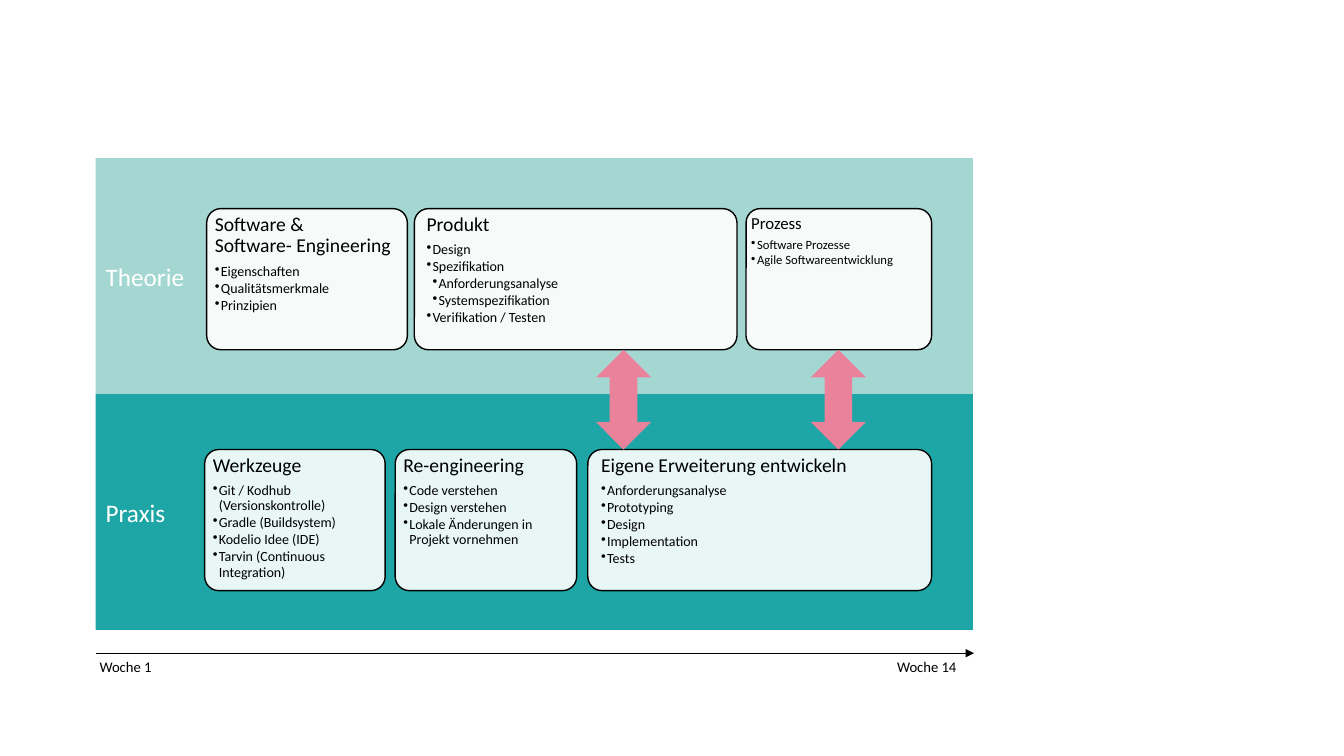
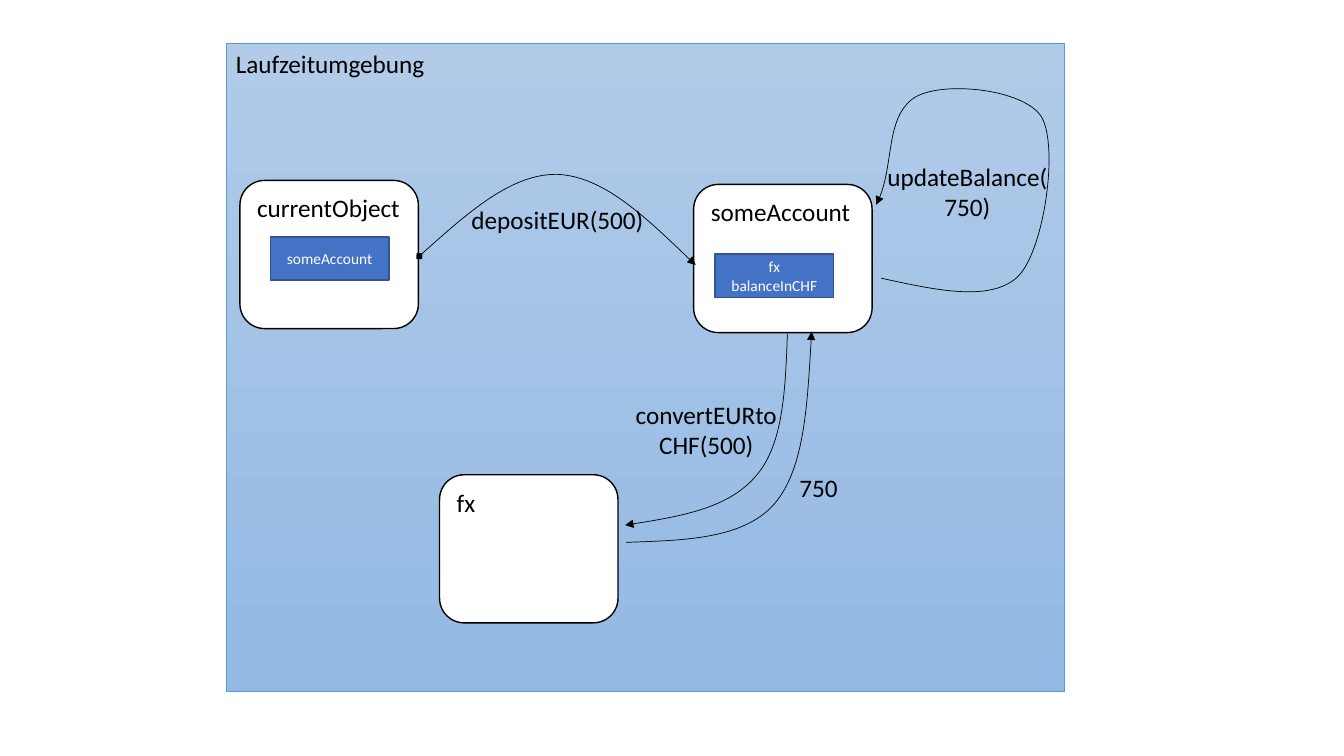
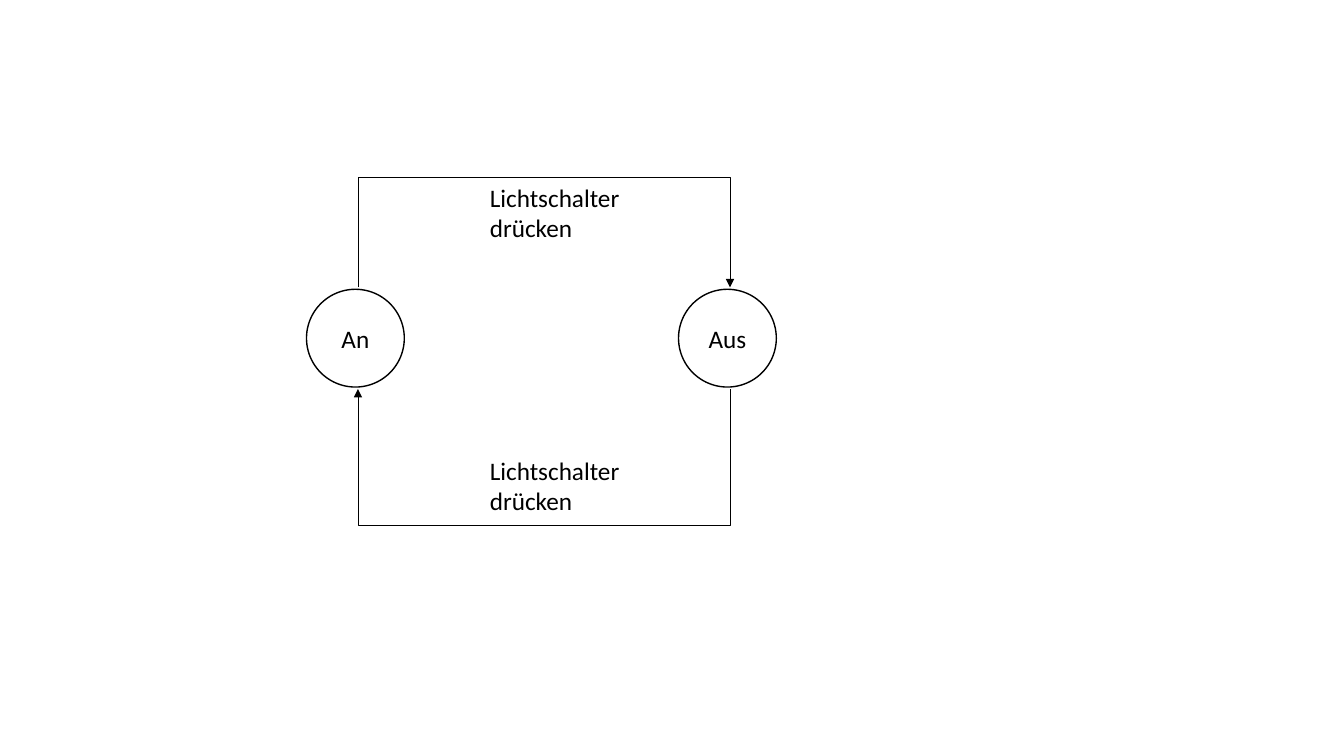
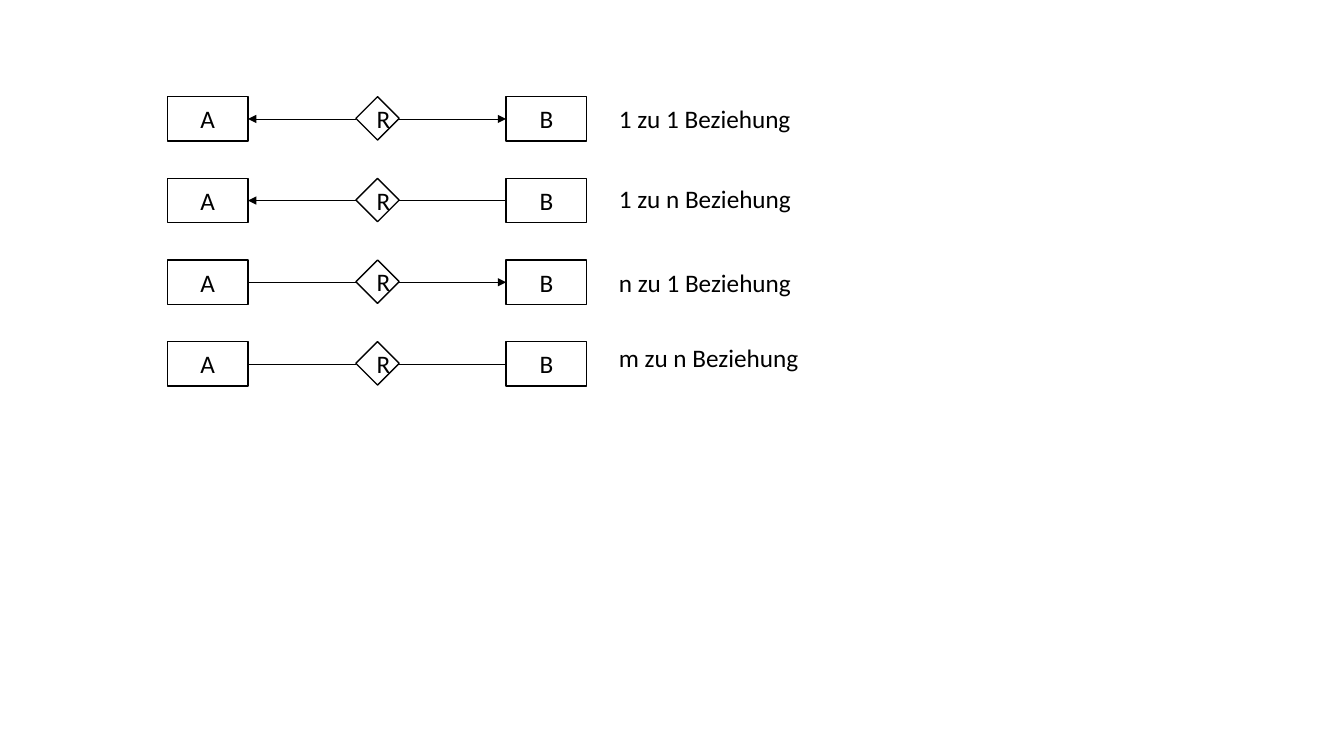
import lxml.etree
import pptx
import pptx.dml.color
import pptx.enum.shapes
import pptx.enum.text
import pptx.oxml.ns
import pptx.util

Inches = pptx.util.Inches
Pt = pptx.util.Pt
SHAPES = pptx.enum.shapes.MSO_SHAPE
ALIGN = pptx.enum.text.PP_ALIGN
ANCHOR = pptx.enum.text.MSO_ANCHOR

COLORS = {
    "black": "000000",
    "white": "FFFFFF",
    "light_teal": "A5D7D2",
    "teal": "1EA5A5",
    "pink": "EB829B",
    "sky_top": "B1CBE9",
    "sky_bottom": "93B9E4",
    "sky_edge": "5B9BD5",
    "blue": "4472C4",
    "dark_blue": "325491",
}


def color(name):
    return pptx.dml.color.RGBColor.from_string(COLORS[name])


def add_element(parent, tag, **attributes):
    return lxml.etree.SubElement(parent, pptx.oxml.ns.qn(tag), attributes)


class Deck:
    font = "Calibri"
    text_size = 18
    outline = 1
    thin = 0.5

    def __init__(self):
        self.presentation = pptx.Presentation()
        self.presentation.slide_width = Inches(13.33)
        self.presentation.slide_height = Inches(7.5)
        self.slide = None

    def new_slide(self):
        self.slide = self.presentation.slides.add_slide(self.presentation.slide_layouts[6])

    def add_run(self, paragraph, text, size, ink="black"):
        run = paragraph.add_run()
        run.text = text
        run.font.name = self.font
        run.font.size = Pt(size)
        run.font.color.rgb = color(ink)

    def add_text(self, shape, lines, size=text_size, ink="black", align=ALIGN.CENTER, anchor=ANCHOR.MIDDLE):
        frame = shape.text_frame
        frame.word_wrap = True
        frame.vertical_anchor = anchor
        for index, line in enumerate(lines):
            paragraph = frame.add_paragraph() if index else frame.paragraphs[0]
            paragraph.alignment = align
            self.add_run(paragraph, line, size, ink)

    def label(self, left, top, width, height, text, size=text_size):
        box = self.slide.shapes.add_textbox(Inches(left), Inches(top), Inches(width), Inches(height))
        self.add_text(box, [text], size, align=ALIGN.LEFT, anchor=ANCHOR.TOP)

    def shape(self, kind, left, top, width, height, fill="white", line="black", weight=outline):
        shape = self.slide.shapes.add_shape(kind, Inches(left), Inches(top), Inches(width), Inches(height))
        shape.shadow.inherit = False
        shape.fill.solid()
        shape.fill.fore_color.rgb = color(fill)
        if line:
            shape.line.color.rgb = color(line)
            shape.line.width = Pt(weight)
        else:
            shape.line.fill.background()
        return shape

    def card(self, left, top, width, indent, heading, bullets, heading_size=14, bullet_size=10):
        card = self.shape(SHAPES.ROUNDED_RECTANGLE, left, top, width, 1.4)
        card.adjustments[0] = 0.1
        fill_color = card.element.spPr.find(".//" + pptx.oxml.ns.qn("a:srgbClr"))
        add_element(fill_color, "a:alpha", val="90000")
        frame = card.text_frame
        frame.word_wrap = True
        frame.vertical_anchor = ANCHOR.TOP
        frame.margin_left = Inches(indent)
        frame.margin_right = Inches(0.03)
        frame.margin_top = frame.margin_bottom = Inches(0.02)
        paragraph = frame.paragraphs[0]
        paragraph.alignment = ALIGN.LEFT
        paragraph.line_spacing = 0.9
        paragraph.space_after = Pt(heading_size * 0.35)
        for index, part in enumerate(heading):
            if index:
                paragraph.add_line_break()
            self.add_run(paragraph, part, heading_size)
        for level, text in bullets:
            self.bullet(frame.add_paragraph(), level, text, bullet_size)

    def bullet(self, paragraph, level, text, size):
        paragraph.level = level
        paragraph.alignment = ALIGN.LEFT
        paragraph.line_spacing = 0.9
        paragraph.space_after = Pt(size * 0.13)
        properties = paragraph._p.get_or_add_pPr()
        step = Inches(0.06)
        properties.set("marL", str(level * step))
        properties.set("indent", str(-step))
        add_element(properties, "a:buChar", char="•")
        self.add_run(paragraph, text, size)

    def finish_line(self, shape, head, tail):
        shape.line.color.rgb = color("black")
        shape.line.width = Pt(self.thin)
        outline = shape.line._get_or_add_ln()
        for tag, arrow in (("a:headEnd", head), ("a:tailEnd", tail)):
            if arrow:
                add_element(outline, tag, type=arrow)

    def line(self, start, end, head=None, tail=None):
        connector = self.slide.shapes.add_connector(
            pptx.enum.shapes.MSO_CONNECTOR.STRAIGHT, *(Inches(value) for value in start + end))
        self.finish_line(connector, head, tail)
        add_element(connector.element.spPr, "a:effectLst")

    def route(self, points, head=None, tail=None, curved=False):
        vertices = [(Inches(x), Inches(y)) for x, y in points]
        builder = self.slide.shapes.build_freeform(*vertices[0], scale=1.0)
        builder.add_line_segments(vertices[1:], close=False)
        shape = builder.convert_to_shape()
        shape.shadow.inherit = False
        shape.fill.background()
        self.finish_line(shape, head, tail)
        if curved:
            self.bend(shape)
        return shape

    def bend(self, shape):
        segments = shape.element.xpath(".//a:lnTo")
        outline = segments[0].getparent()
        for start in range(0, len(segments), 3):
            curve = add_element(outline, "a:cubicBezTo")
            for segment in segments[start:start + 3]:
                curve.append(segment[0])
                outline.remove(segment)


def course_overview(deck):
    deck.new_slide()
    for top, name, fill in ((1.57, "Theorie", "light_teal"), (3.91, "Praxis", "teal")):
        band = deck.shape(SHAPES.RECTANGLE, 0.95, top, 8.7, 2.34, fill, None)
        deck.add_text(band, [name], ink="white", align=ALIGN.LEFT)
    theory, practice = 2.07, 4.46
    deck.card(4.11, theory, 3.2, 0.08, ["Produkt"], [
        (1, "Design"), (1, "Spezifikation"), (2, "Anforderungsanalyse"),
        (2, "Systemspezifikation"), (1, "Verifikation / Testen")])
    deck.card(7.4, theory, 1.84, 0.01, ["Prozess"], [
        (1, "Software Prozesse"), (1, "Agile Softwareentwicklung")], 12, 9)
    deck.card(2.05, theory, 1.99, 0.04, ["Software &", "Software- Engineering"], [
        (1, "Eigenschaften"), (1, "Qualitätsmerkmale"), (1, "Prinzipien")])
    deck.card(2.03, practice, 1.79, 0.04, ["Werkzeuge"], [
        (1, "Git / Kodhub (Versionskontrolle)"), (1, "Gradle (Buildsystem)"),
        (1, "Kodelio Idee (IDE)"), (1, "Tarvin (Continuous Integration)")])
    deck.card(3.92, practice, 1.8, 0.04, ["Re-engineering"], [
        (1, "Code verstehen"), (1, "Design verstehen"),
        (1, "Lokale Änderungen in Projekt vornehmen")])
    deck.card(5.83, practice, 3.41, 0.09, ["Eigene Erweiterung entwickeln"], [
        (1, "Anforderungsanalyse"), (1, "Prototyping"), (1, "Design"),
        (1, "Implementation"), (1, "Tests")])
    deck.line((0.95, 6.48), (9.66, 6.48), tail="triangle")
    for left, week in ((0.89, "Woche 1"), (8.8, "Woche 14")):
        deck.label(left, 6.48, 1.14, 0.29, week, 10.5)
    for left in (5.91, 8.04):
        deck.shape(SHAPES.UP_DOWN_ARROW, left, 3.47, 0.55, 0.99, "pink", None)


def runtime_objects(deck):
    deck.new_slide()
    runtime = deck.shape(SHAPES.RECTANGLE, 2.24, 0.43, 8.32, 6.43, line="sky_edge", weight=deck.thin)
    runtime.fill.gradient()
    runtime.fill.gradient_angle = 270
    for stop, name in zip(runtime.fill.gradient_stops, ("sky_top", "sky_bottom")):
        stop.color.rgb = color(name)
    deck.add_text(runtime, ["Laufzeitumgebung"], align=ALIGN.LEFT, anchor=ANCHOR.TOP)
    for left, top, name in ((6.88, 1.83, "someAccount"), (2.38, 1.79, "currentObject"), (4.36, 4.71, "fx")):
        node = deck.shape(SHAPES.ROUNDED_RECTANGLE, left, top, 1.77, 1.47)
        deck.add_text(node, [name], align=ALIGN.LEFT, anchor=ANCHOR.TOP)
    for left, top, fields in ((7.09, 2.52, ["fx", "balanceInCHF"]), (2.68, 2.35, ["someAccount"])):
        field_box = deck.shape(SHAPES.RECTANGLE, left, top, 1.18, 0.43, "blue", "dark_blue")
        deck.add_text(field_box, fields, 11, "white")
    messages = (
        ("depositEUR(500)", "diamond", [
            (4.16, 2.54), (4.62, 2.13), (5.07, 1.72), (5.53, 1.73),
            (5.99, 1.75), (6.44, 2.19), (6.9, 2.63)]),
        ("convertEURtoCHF(500)", None, [
            (7.81, 3.31), (7.79, 3.86), (7.77, 4.41), (7.5, 4.72),
            (7.23, 5.04), (6.72, 5.13), (6.2, 5.21)]),
        ("updateBalance(750)", None, [
            (8.74, 2.76), (9.29, 2.88), (9.83, 3), (10.1, 2.74),
            (10.36, 2.47), (10.5, 1.45), (10.33, 1.16),
            (10.15, 0.87), (9.28, 0.79), (9.04, 0.99),
            (8.79, 1.19), (8.87, 1.69), (8.69, 2.03)]),
        (None, None, [
            (6.21, 5.38), (6.79, 5.36), (7.37, 5.35), (7.68, 5),
            (7.98, 4.65), (8.01, 3.97), (8.05, 3.29)]),
    )
    for message, head, points in messages:
        arrow = deck.route(points, head, "triangle", curved=True)
        if message:
            deck.add_text(arrow, [message])
    deck.label(7.83, 4.64, 1.07, 0.4, "750")


def light_switch(deck):
    deck.new_slide()
    for left, state in ((3.04, "An"), (6.73, "Aus")):
        deck.add_text(deck.shape(SHAPES.OVAL, left, 2.87, 0.97, 0.97), [state])
    left, right = 3.55, 7.24
    transitions = (
        (left, right, 2.85, 1.76, 1.76),
        (right, left, 3.86, 5.21, 4.47),
    )
    for start, end, state_edge, turn, label_top in transitions:
        deck.route([(start, state_edge), (start, turn), (end, turn), (end, state_edge)], tail="triangle")
        deck.label(4.76, label_top, 1.51, 0.71, "Lichtschalter drücken")


def relationships(deck):
    deck.new_slide()
    rows = (
        ("1 zu 1 Beziehung", 0.98, "triangle", "triangle"),
        ("1 zu n Beziehung", 1.77, "triangle", None),
        ("n zu 1 Beziehung", 2.6, None, "triangle"),
        ("m zu n Beziehung", 3.35, None, None),
    )
    for index, (name, label_top, arrow_to_a, arrow_to_b) in enumerate(rows):
        top = 0.96 + index * 0.81
        middle = top + 0.22
        for left, entity in ((1.66, "A"), (5.02, "B")):
            deck.add_text(deck.shape(SHAPES.RECTANGLE, left, top, 0.8, 0.44), [entity])
        deck.add_text(deck.shape(SHAPES.DIAMOND, 3.53, top, 0.43, 0.43), ["R"])
        deck.line((2.46, middle), (3.53, middle), head=arrow_to_a)
        deck.line((3.95, middle), (5.02, middle), tail=arrow_to_b)
        deck.label(6.04, label_top, 2.01, 0.4, name)


def main():
    deck = Deck()
    for build in (course_overview, runtime_objects, light_switch, relationships):
        build(deck)
    deck.presentation.save("out.pptx")


if __name__ == "__main__":
    main()
